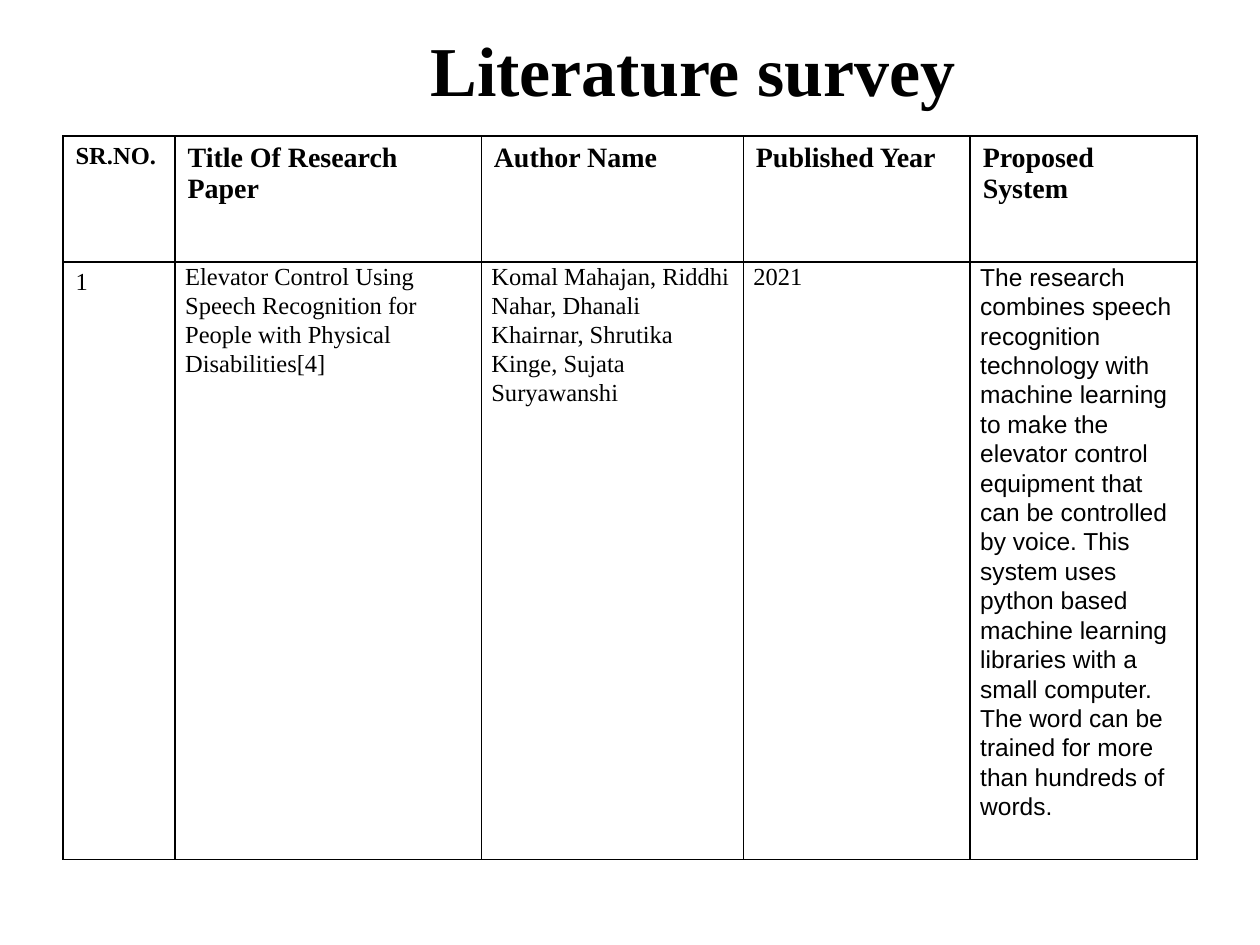
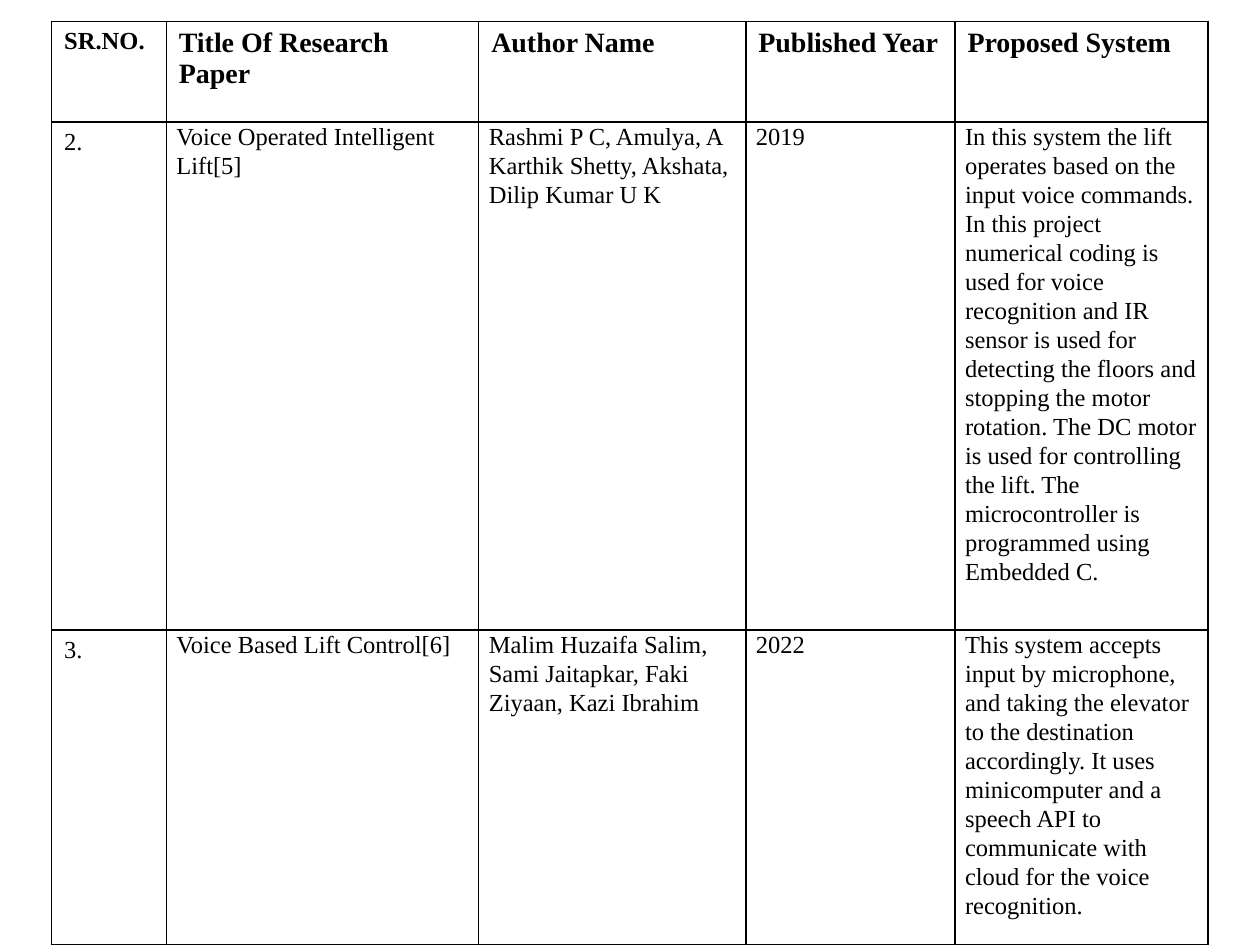
from lxml import etree
from pptx import Presentation
from pptx.dml.color import RGBColor
from pptx.enum.text import MSO_ANCHOR, MSO_AUTO_SIZE, PP_ALIGN
from pptx.oxml.ns import qn
from pptx.util import Inches, Pt

BLACK = RGBColor(0x00, 0x00, 0x00)
WHITE = RGBColor(0xFF, 0xFF, 0xFF)
SERIF, SANS = "Times New Roman", "Arial"
TOP = MSO_ANCHOR.TOP
CENTER = PP_ALIGN.CENTER
GROW = MSO_AUTO_SIZE.SHAPE_TO_FIT_TEXT
TITLE_ONLY, BLANK = 5, 6

HEADINGS = ["SR.NO.", "Title Of Research Paper", "Author Name",
            "Published Year", "Proposed System"]

PAPER_1 = [
    "1",
    "Elevator Control Using Speech Recognition for People with Physical Disabilities[4]",
    "Komal Mahajan, Riddhi Nahar, Dhanali Khairnar, Shrutika Kinge, Sujata Suryawanshi",
    "2021",
    "The research combines speech recognition technology with machine learning to make "
    "the elevator control equipment that can be controlled by voice. This system uses "
    "python based machine learning libraries with a small computer. The word can be "
    "trained for more than hundreds of words.",
]
PAPER_2 = [
    "2.",
    "Voice Operated Intelligent Lift[5]",
    "Rashmi P C, Amulya, A Karthik Shetty, Akshata, Dilip Kumar U K",
    "2019",
    "In this system the lift operates based on the input voice commands. In this project "
    "numerical coding is used for voice recognition and IR sensor is used for detecting "
    "the floors and stopping the motor rotation. The DC motor is used for controlling the "
    "lift. The microcontroller is programmed using Embedded C.",
]
PAPER_3 = [
    "3.",
    "Voice Based Lift Control[6]",
    "Malim Huzaifa Salim, Sami Jaitapkar, Faki Ziyaan, Kazi Ibrahim",
    "2022",
    "This system accepts input by microphone, and taking the elevator to the destination "
    "accordingly. It uses minicomputer and a speech API to communicate with cloud for "
    "the voice recognition.",
]


def write_text(frame, text, size=14, font=SERIF, bold=False, align=None,
               line_spacing=None, space_after=None):
    frame.word_wrap = True
    paragraph = frame.paragraphs[0]
    paragraph.alignment = align
    paragraph.line_spacing = line_spacing
    if space_after is not None:
        paragraph.space_after = Pt(space_after)
    run = paragraph.add_run()
    run.text = text
    run.font.name = font
    run.font.size = Pt(size)
    run.font.bold = bold
    run.font.color.rgb = BLACK


def set_borders(cell, width=1):
    properties = cell._tc.get_or_add_tcPr()
    for side in ("lnL", "lnR", "lnT", "lnB"):
        line = etree.SubElement(properties, qn(f"a:{side}"), w=str(Pt(width)))
        fill = etree.SubElement(line, qn("a:solidFill"))
        etree.SubElement(fill, qn("a:srgbClr"), val=str(BLACK))


def set_tint(cell, percent=20):
    """Fill the cell with translucent white."""
    cell.fill.solid()
    cell.fill.fore_color.rgb = WHITE
    color = cell._tc.tcPr.find(qn("a:solidFill")).find(qn("a:srgbClr"))
    etree.SubElement(color, qn("a:alpha"), val=str(percent * 1000))


class SurveyDeck:
    def __init__(self):
        self.presentation = Presentation()
        self.presentation.slide_width = Inches(10)
        self.presentation.slide_height = Inches(7.5)
        self.slide = None

    def add_slide(self, layout):
        self.slide = self.presentation.slides.add_slide(
            self.presentation.slide_layouts[layout])

    def add_title(self, text):
        title = self.slide.shapes.title
        title.left, title.top = Inches(0.5), Inches(0.16)
        title.width, title.height = Inches(10), Inches(0.77)
        title.text_frame.vertical_anchor = TOP
        title.text_frame.auto_size = GROW
        write_text(title.text_frame, text, size=40, bold=True, align=CENTER)

    def add_survey(self, left, top, widths, heights, papers, summary_font=SERIF):
        table = self.slide.shapes.add_table(
            len(heights), len(widths), Inches(left), Inches(top),
            Inches(sum(widths)), Inches(sum(heights))).table
        table.first_row = table.horz_banding = False
        for column, width in zip(table.columns, widths):
            column.width = Inches(width)
        for row, height in zip(table.rows, heights):
            row.height = Inches(height)

        for row_index, texts in enumerate([HEADINGS, *papers]):
            for column_index, text in enumerate(texts):
                cell = table.cell(row_index, column_index)
                set_borders(cell)
                if row_index == 1:
                    set_tint(cell)
                else:
                    cell.fill.background()
                if row_index == 0:
                    write_text(cell.text_frame, text, bold=True,
                               size=16 if column_index else 14)
                elif column_index == 0:
                    write_text(cell.text_frame, text)
                else:
                    cell.margin_left = cell.margin_right = Inches(0.08)
                    cell.margin_top = cell.margin_bottom = 0
                    is_summary = column_index == len(texts) - 1
                    write_text(cell.text_frame, text, line_spacing=1.07, space_after=8,
                               font=summary_font if is_summary else SERIF)


def main():
    deck = SurveyDeck()

    deck.add_slide(TITLE_ONLY)
    deck.add_survey(0.5, 1.08, [0.89, 2.43, 2.08, 1.8, 1.8], [1, 4.44],
                    [PAPER_1], summary_font=SANS)
    deck.add_title("Literature survey")

    deck.add_slide(BLANK)
    deck.add_survey(0.41, 0.17, [0.91, 2.48, 2.12, 1.66, 2.01], [0.8, 4.03, 2.49],
                    [PAPER_2, PAPER_3])

    deck.presentation.save("out.pptx")


if __name__ == "__main__":
    main()
